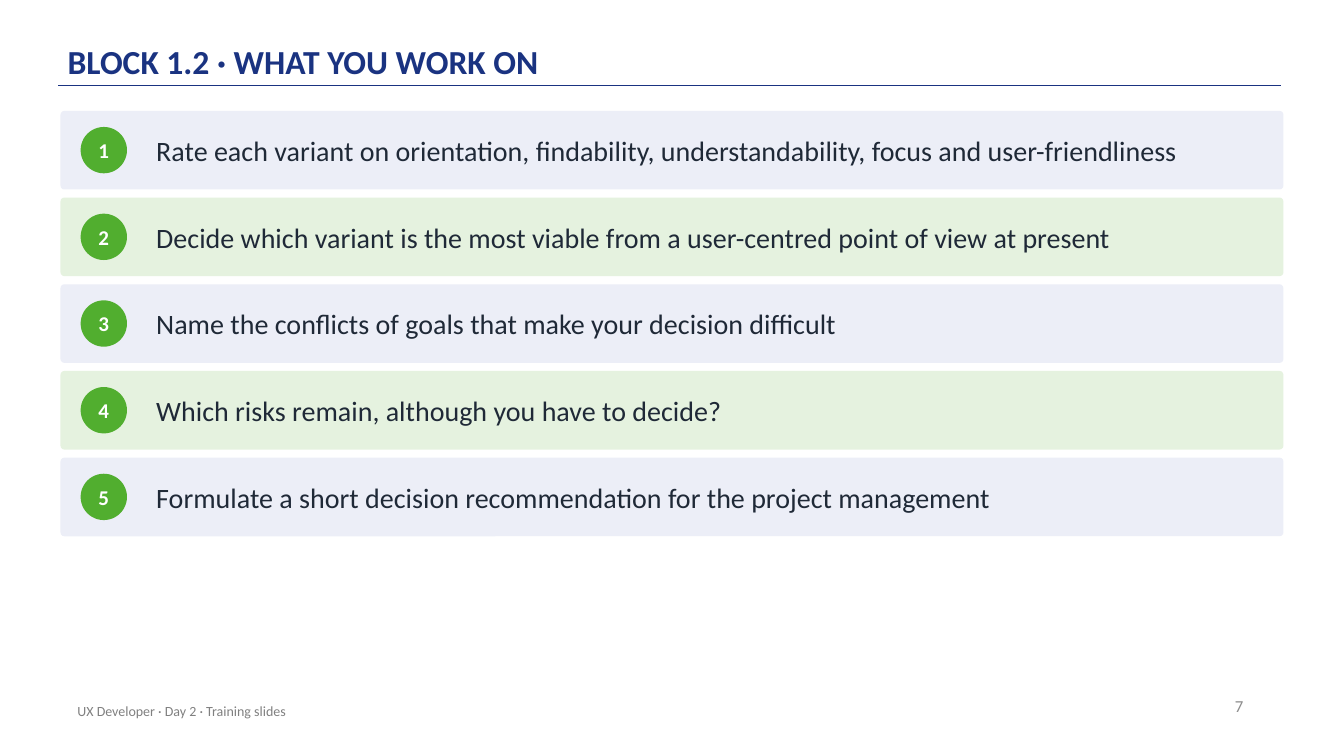
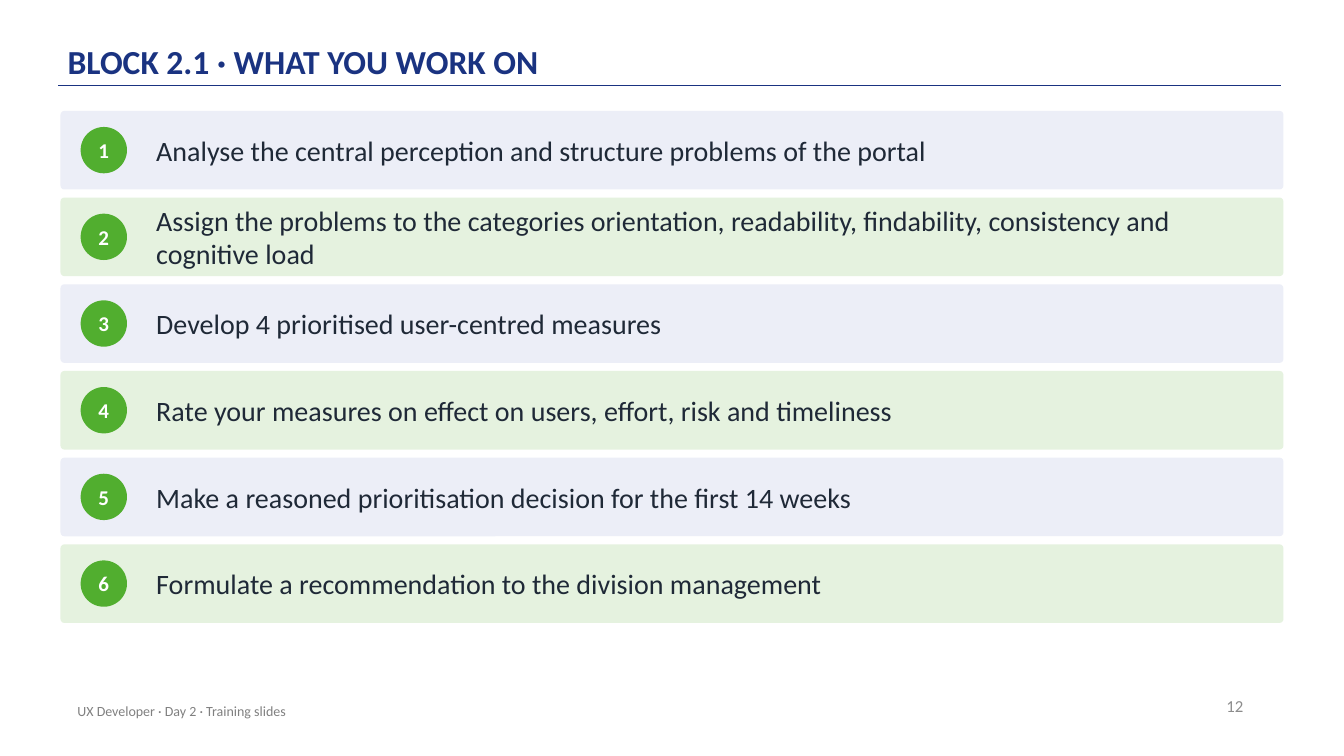
from dataclasses import dataclass

from lxml import etree
from pptx import Presentation
from pptx.dml.color import RGBColor
from pptx.enum.shapes import MSO_CONNECTOR, MSO_SHAPE
from pptx.enum.text import MSO_ANCHOR, MSO_AUTO_SIZE, PP_ALIGN
from pptx.oxml.ns import qn
from pptx.shapes.autoshape import Shape
from pptx.slide import Slide
from pptx.util import Inches, Pt

LEFT, CENTER, RIGHT = PP_ALIGN.LEFT, PP_ALIGN.CENTER, PP_ALIGN.RIGHT
MIDDLE, BOTTOM = MSO_ANCHOR.MIDDLE, MSO_ANCHOR.BOTTOM
ROUNDED, OVAL = MSO_SHAPE.ROUNDED_RECTANGLE, MSO_SHAPE.OVAL
STRAIGHT = MSO_CONNECTOR.STRAIGHT
NO_FIT = MSO_AUTO_SIZE.NONE
TITLE_ONLY = 5

FONT = "Calibri"
NAVY, GREEN, WHITE, INK = "1A3381", "51AE2F", "FFFFFF", "1F2937"
BAND_FILLS = ("ECEEF7", "E5F2DF")
FOOTER_GREY, NUMBER_GREY = "808080", "8C8C8C"
FOOTER = "UX Developer · Day 2 · Training slides"

# Task rows, in inches
ROW_TOP, ROW_HEIGHT, ROW_PITCH = 1.1, 0.78, 0.86
BADGE_SIZE = 0.46

Box = tuple[float, float, float, float]
DEFAULT_INSETS: Box = (0.1, 0.05, 0.1, 0.05)
NO_INSETS: Box = (0, 0, 0, 0)


@dataclass(frozen=True)
class TextStyle:
    size: int
    color: str
    bold: bool = False
    align: PP_ALIGN = LEFT
    anchor: MSO_ANCHOR = MIDDLE
    insets: Box = DEFAULT_INSETS
    line_spacing: float = 1.0


@dataclass(frozen=True)
class TaskSlide:
    title: str
    number: int
    tasks: tuple[str, ...]


TITLE_STYLE = TextStyle(24, NAVY, bold=True, anchor=BOTTOM,
                        insets=(0, 0.03, 0, 0.03), line_spacing=0.9)
NUMBER_STYLE = TextStyle(12, NUMBER_GREY, align=RIGHT)
FOOTER_STYLE = TextStyle(10, FOOTER_GREY)
BADGE_STYLE = TextStyle(15, WHITE, bold=True, align=CENTER, insets=NO_INSETS)
TASK_STYLE = TextStyle(20, INK, insets=NO_INSETS)

TASK_SLIDES = (
    TaskSlide("BLOCK 1.2 · WHAT YOU WORK ON", 7, (
        "Rate each variant on orientation, findability, understandability, "
        "focus and user-friendliness",
        "Decide which variant is the most viable from a user-centred point of view at present",
        "Name the conflicts of goals that make your decision difficult",
        "Which risks remain, although you have to decide?",
        "Formulate a short decision recommendation for the project management",
    )),
    TaskSlide("BLOCK 2.1 · WHAT YOU WORK ON", 12, (
        "Analyse the central perception and structure problems of the portal",
        "Assign the problems to the categories orientation, readability, findability, "
        "consistency and cognitive load",
        "Develop 4 prioritised user-centred measures",
        "Rate your measures on effect on users, effort, risk and timeliness",
        "Make a reasoned prioritisation decision for the first 14 weeks",
        "Formulate a recommendation to the division management",
    )),
)


def rgb(color: str) -> RGBColor:
    return RGBColor.from_string(color)


def write(shape: Shape, text: str, style: TextStyle) -> None:
    frame = shape.text_frame
    frame.word_wrap = True
    frame.auto_size = NO_FIT
    frame.vertical_anchor = style.anchor
    (frame.margin_left, frame.margin_top,
     frame.margin_right, frame.margin_bottom) = map(Inches, style.insets)
    paragraph = frame.paragraphs[0]
    paragraph.alignment = style.align
    paragraph.line_spacing = style.line_spacing
    run = paragraph.add_run()
    run.text = text
    run.font.name = FONT
    run.font.size = Pt(style.size)
    run.font.bold = style.bold
    run.font.color.rgb = rgb(style.color)


def add_text(slide: Slide, box: Box, text: str, style: TextStyle) -> None:
    write(slide.shapes.add_textbox(*map(Inches, box)), text, style)


def add_filled(slide: Slide, kind: MSO_SHAPE, box: Box, color: str) -> Shape:
    shape = slide.shapes.add_shape(kind, *map(Inches, box))
    shape.shadow.inherit = False
    shape.fill.solid()
    shape.fill.fore_color.rgb = rgb(color)
    shape.line.fill.background()
    return shape


def add_frame(slide: Slide, title: str, number: int) -> None:
    # Rule under the title
    rule = slide.shapes.add_connector(
        STRAIGHT, Inches(0.58), Inches(0.85), Inches(12.71), Inches(0.85))
    rule.line.color.rgb = rgb(NAVY)
    rule.line.width = Pt(1)
    etree.SubElement(rule.element.spPr, qn("a:effectLst"))

    # Title
    heading = slide.shapes.title
    heading.left, heading.top = Inches(0.67), Inches(0.12)
    heading.width, heading.height = Inches(11), Inches(0.72)
    write(heading, title, TITLE_STYLE)

    # Page number and footer
    add_text(slide, (9.43, 6.8, 3, 0.4), str(number), NUMBER_STYLE)
    add_text(slide, (0.67, 6.85, 6.7, 0.4), FOOTER, FOOTER_STYLE)


def add_task(slide: Slide, index: int, task: str) -> None:
    top = ROW_TOP + index * ROW_PITCH
    band = add_filled(slide, ROUNDED, (0.6, top, 12.13, ROW_HEIGHT),
                      BAND_FILLS[index % len(BAND_FILLS)])
    band.adjustments[0] = 0.05
    badge_top = top + (ROW_HEIGHT - BADGE_SIZE) / 2
    badge = add_filled(slide, OVAL, (0.8, badge_top, BADGE_SIZE, BADGE_SIZE), GREEN)
    write(badge, str(index + 1), BADGE_STYLE)
    add_text(slide, (1.55, top, 10.93, ROW_HEIGHT), task, TASK_STYLE)


def main() -> None:
    deck = Presentation()
    deck.slide_width, deck.slide_height = Inches(13.33), Inches(7.5)
    for content in TASK_SLIDES:
        slide = deck.slides.add_slide(deck.slide_layouts[TITLE_ONLY])
        add_frame(slide, content.title, content.number)
        for index, task in enumerate(content.tasks):
            add_task(slide, index, task)
    deck.save("out.pptx")


if __name__ == "__main__":
    main()
